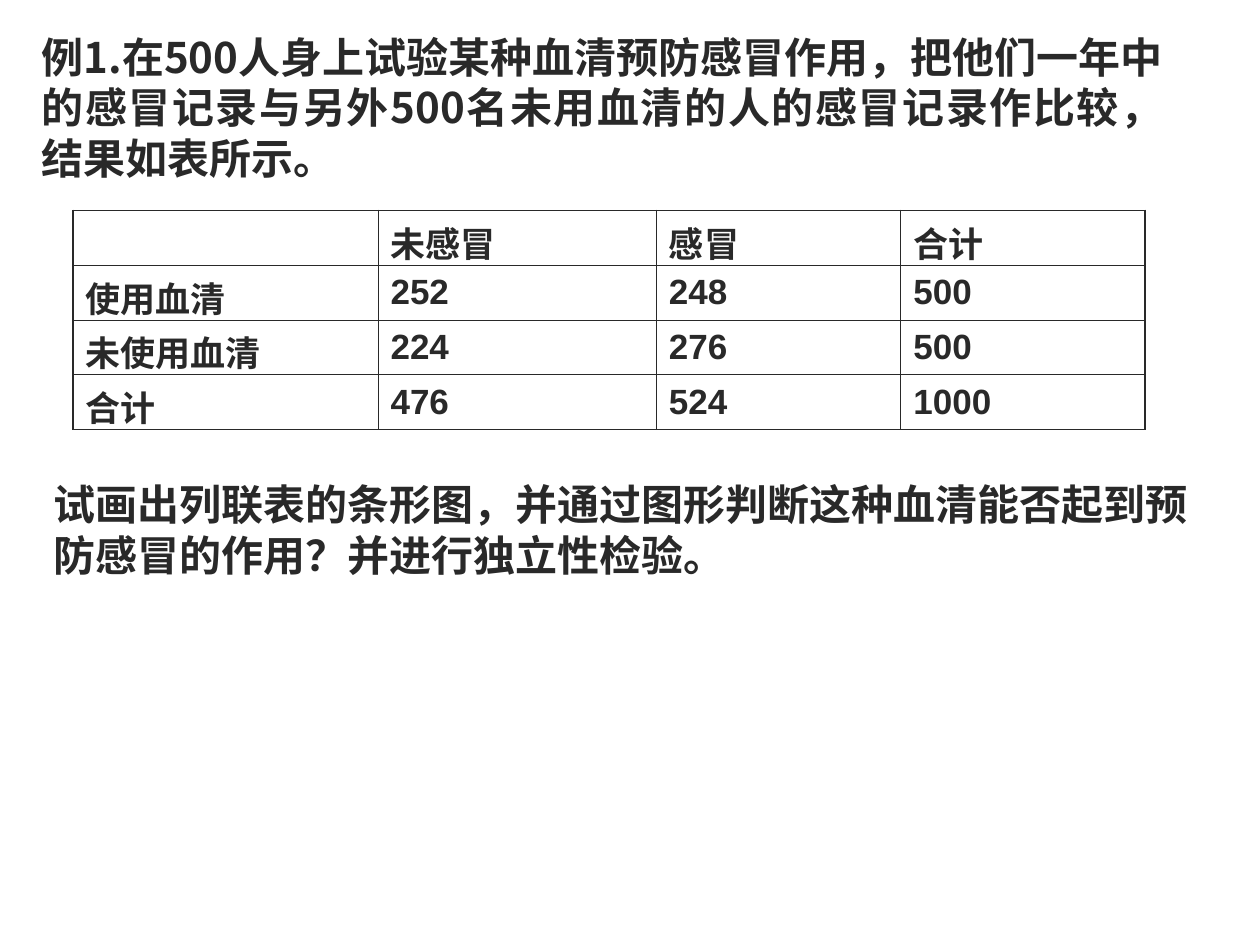
from pptx import Presentation
from pptx.dml.color import RGBColor
from pptx.enum.text import MSO_ANCHOR, PP_ALIGN
from pptx.oxml.ns import qn
from pptx.util import Inches, Pt
from lxml.etree import SubElement

INK = RGBColor(0x29, 0x29, 0x29)
CJK = "Noto Sans CJK SC"
THIN, THICK = 0.45, 1.08

INTRO = ("例1.在500人身上试验某种血清预防感冒作用，把他们一年中的感冒记录"
         "与另外500名未用血清的人的感冒记录作比较，结果如表所示。")
TASK = ("试画出列联表的条形图，并通过图形判断这种血清能否起到预防感冒的作用？"
        "并进行独立性检验。")
ROWS = [
    ("", "未感冒", "感冒", "合计"),
    ("使用血清", "252", "248", "500"),
    ("未使用血清", "224", "276", "500"),
    ("合计", "476", "524", "1000"),
]
WIDTHS = (2.42, 2.21, 1.94, 1.94)
HIGH = 0.435


def style(font, name, size):
    look = {"name": name, "size": Pt(size), "bold": True}
    for key, value in look.items():
        setattr(font, key, value)
    font.color.rgb = INK


def add_text(slide, text, box, inset, align):
    frame = slide.shapes.add_textbox(*map(Inches, box)).text_frame
    side, edge = map(Inches, inset)
    form = {"word_wrap": True, "margin_left": side, "margin_right": side,
            "margin_top": edge, "margin_bottom": edge}
    for key, value in form.items():
        setattr(frame, key, value)
    para = frame.paragraphs[0]
    para.alignment = align
    run = para.add_run()
    run.text = text
    style(run.font, CJK, 24)
    # East Asian glyphs need their own typeface entry
    SubElement(run.font._element, qn("a:ea"), typeface=CJK)


def add_edge(cell, side, width):
    line = SubElement(cell._tc.get_or_add_tcPr(), qn(f"a:{side}"),
                      w=str(Pt(width)))
    fill = SubElement(line, qn("a:solidFill"))
    SubElement(fill, qn("a:srgbClr"), val=str(INK))


def add_grid(slide, left, top):
    count = len(ROWS)
    table = slide.shapes.add_table(
        count, len(WIDTHS), Inches(left), Inches(top),
        Inches(sum(WIDTHS)), Inches(HIGH * count)).table
    table.first_row = table.horz_banding = False
    for col, width in zip(table.columns, WIDTHS):
        col.width = Inches(width)
    for r, words in enumerate(ROWS):
        table.rows[r].height = Inches(HIGH)
        for c, text in enumerate(words):
            cell = table.cell(r, c)
            cell.vertical_anchor = MSO_ANCHOR.MIDDLE
            cell.text = text
            style(cell.text_frame.paragraphs[0].font, "Arial", 20)
            # Thick outer frame, thin inner rules
            outer = {"lnL": c == 0, "lnR": c == len(WIDTHS) - 1,
                     "lnT": r == 0, "lnB": r == count - 1}
            for side, edge in outer.items():
                add_edge(cell, side, THICK if edge else THIN)
            cell.fill.background()


def main():
    deck = Presentation()
    deck.slide_width, deck.slide_height = Inches(10), Inches(7.5)
    slide = deck.slides.add_slide(deck.slide_layouts[6])

    # Problem, data table, question
    add_text(slide, INTRO, (0.33, 0.25, 8.9, 1.2), (0, 0), PP_ALIGN.JUSTIFY)
    add_grid(slide, 0.58, 1.67)
    add_text(slide, TASK, (0.33, 3.75, 9.33, 0.9), (0.1, 0.05), PP_ALIGN.LEFT)

    deck.save("out.pptx")


if __name__ == "__main__":
    main()
